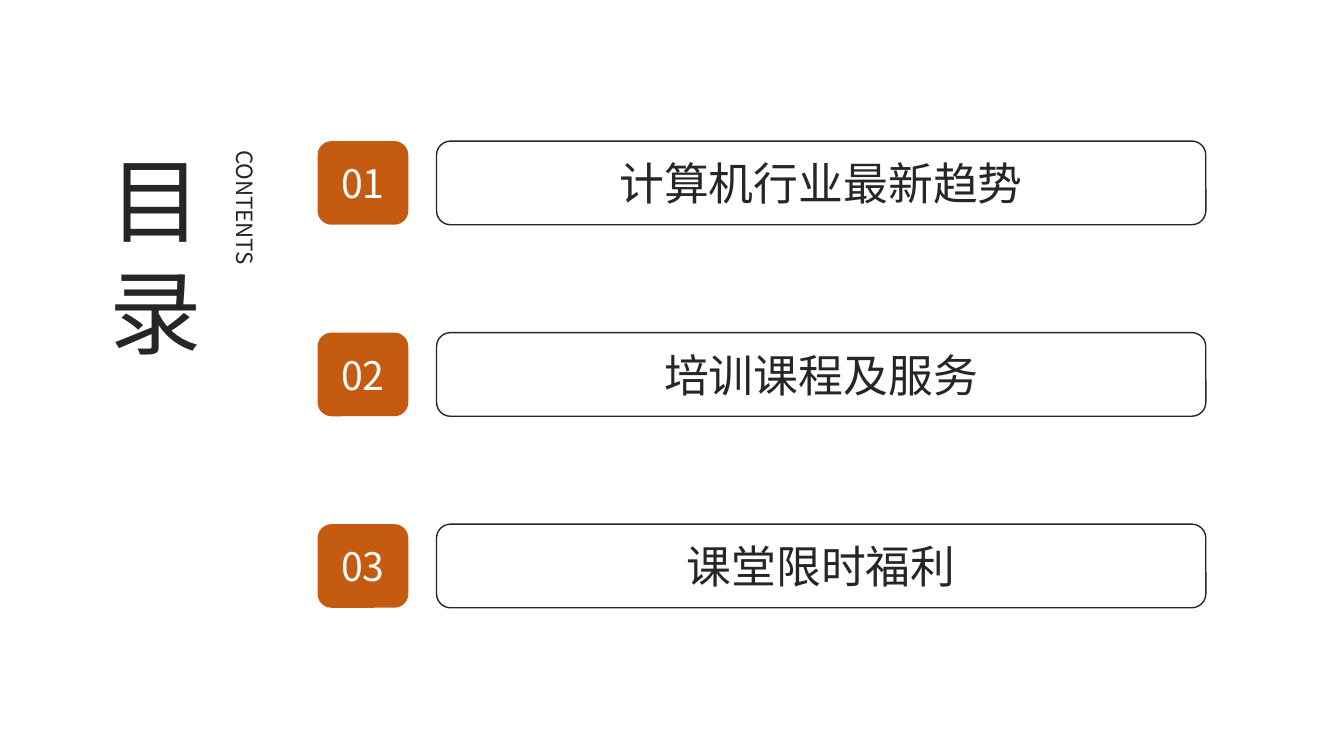
from pptx import Presentation
from pptx.dml.color import RGBColor
from pptx.enum.shapes import MSO_SHAPE
from pptx.enum.text import MSO_ANCHOR, MSO_AUTO_SIZE, PP_ALIGN
from pptx.oxml.ns import qn
from pptx.util import Inches, Pt
from lxml.etree import SubElement

COLORS = {"ink": "262626", "accent": "C55A11", "white": "FFFFFF"}
FONT = "Noto Sans CJK SC"
TOPICS = ["计算机行业最新趋势", "培训课程及服务", "课堂限时福利"]


def rgb(name):
    return RGBColor.from_string(COLORS[name])


class ContentsSlide:
    def __init__(self, prs):
        self.s = prs.slides.add_slide(prs.slide_layouts[5])

    def set_text(self, sp, text, size, color, align, anchor):
        tf = sp.text_frame
        tf.text = text
        tf.word_wrap = True
        tf.auto_size = MSO_AUTO_SIZE.NONE
        tf.vertical_anchor = anchor
        for p in tf.paragraphs:
            p.alignment = align
            p.font.size = Pt(size)
            p.font.name = FONT
            p.font.color.rgb = rgb(color)
            SubElement(p.font._element, qn("a:ea"), typeface=FONT)
        return tf

    def title(self, text, x, y, w, h):
        sp = self.s.shapes.title
        sp.left, sp.top, sp.width, sp.height = map(Inches, (x, y, w, h))
        tf = self.set_text(sp, text, 66, "ink", PP_ALIGN.CENTER, MSO_ANCHOR.TOP)
        for p in tf.paragraphs:
            p.line_spacing = Pt(80)

    def vertical_text(self, text, x, y, w, h):
        sp = self.s.shapes.add_textbox(*map(Inches, (x, y, w, h)))
        tf = self.set_text(sp, text, 16, "ink", PP_ALIGN.JUSTIFY, MSO_ANCHOR.TOP)
        tf._txBody.bodyPr.set("vert", "eaVert")

    def box(self, text, x, y, w, h, size, color, fill, line=None):
        sp = self.s.shapes.add_shape(MSO_SHAPE.ROUNDED_RECTANGLE, *map(Inches, (x, y, w, h)))
        sp.shadow.inherit = False
        sp.fill.solid()
        sp.fill.fore_color.rgb = rgb(fill)
        if line:
            sp.line.color.rgb = rgb(line)
            sp.line.width = Pt(1)
        else:
            sp.line.fill.background()
        self.set_text(sp, text, size, color, PP_ALIGN.CENTER, MSO_ANCHOR.MIDDLE)

    def topic(self, number, text, y):
        self.box(f"{number:02d}", 3.15, y, 0.9, 0.83, 28, "white", "accent")
        self.box(text, 4.33, y, 7.63, 0.83, 32, "ink", "white", "ink")


def main():
    prs = Presentation()
    prs.slide_width, prs.slide_height = Inches(13.33), Inches(7.5)
    slide = ContentsSlide(prs)
    slide.title("目\n录", 0.9, 1.36, 1.29, 2.32)
    slide.vertical_text("CONTENTS", 2.15, 1.39, 0.47, 3.5)
    for i, text in enumerate(TOPICS):
        slide.topic(i + 1, text, 1.4 + 1.9 * i)
    prs.save("out.pptx")


if __name__ == "__main__":
    main()
